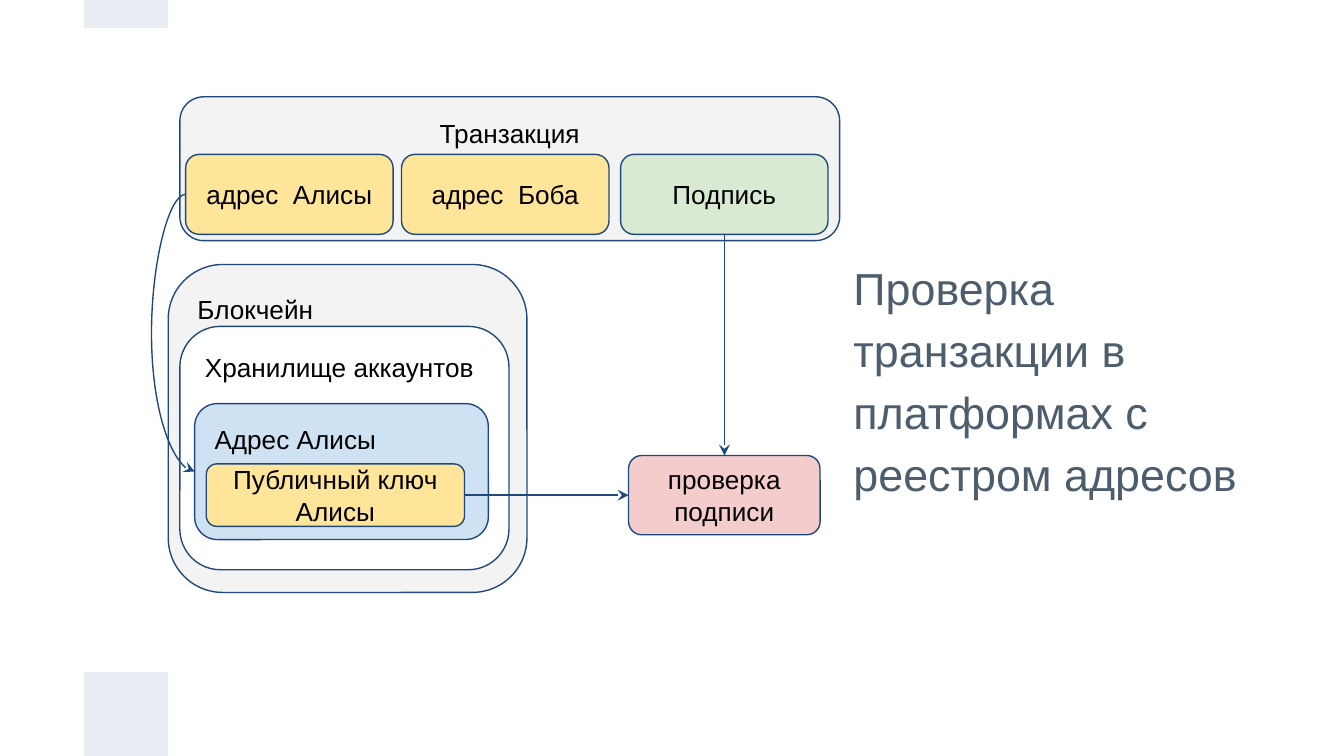
from lxml import etree
from pptx import Presentation
from pptx.dml.color import RGBColor
from pptx.enum import shapes, text
from pptx.oxml.ns import qn
from pptx.util import Cm, Pt

NAVY = RGBColor(0x1F, 0x49, 0x7D)
SLATE = RGBColor(0x4C, 0x5D, 0x6E)
BLACK = RGBColor(0, 0, 0)
WHITE = RGBColor(0xFF, 0xFF, 0xFF)
PALE = RGBColor(0xE9, 0xED, 0xF4)
GREY = RGBColor(0xF3, 0xF3, 0xF3)
YELLOW = RGBColor(0xFF, 0xE5, 0x99)
GREEN = RGBColor(0xD9, 0xEA, 0xD3)
BLUE = RGBColor(0xCF, 0xE2, 0xF3)
PINK = RGBColor(0xF4, 0xCC, 0xCC)

LEFT, CENTER = text.PP_ALIGN.LEFT, text.PP_ALIGN.CENTER
TOP, MIDDLE = text.MSO_ANCHOR.TOP, text.MSO_ANCHOR.MIDDLE
SITE_TOP, SITE_LEFT, SITE_BOTTOM, SITE_RIGHT = range(4)


def apply(target, values):
    for name, value in values.items():
        setattr(target, name, value)


def write(holder, words, size, color, align, anchor):
    frame = holder.text_frame
    inset = Cm(0.25)
    apply(frame, {
        "word_wrap": True, "auto_size": text.MSO_AUTO_SIZE.NONE,
        "vertical_anchor": anchor,
        "margin_left": inset, "margin_right": inset,
        "margin_top": inset, "margin_bottom": inset,
    })
    paragraph = frame.paragraphs[0]
    paragraph.alignment = align
    run = paragraph.add_run()
    run.text = words
    apply(run.font, {"name": "Arial", "size": Pt(size)})
    run.font.color.rgb = color
    return paragraph


def add_title(slide, words):
    title = slide.shapes.title
    apply(title, {"left": Cm(15.88), "top": Cm(1.57),
                  "width": Cm(7.92), "height": Cm(11.1)})
    write(title, words, 24, SLATE, LEFT, MIDDLE).line_spacing = 1.15


def add_filled(slide, preset, area, fill):
    shape = slide.shapes.add_shape(preset, *map(Cm, area))
    shape.shadow.inherit = False
    shape.fill.solid()
    shape.fill.fore_color.rgb = fill
    return shape


def add_accent(slide, area):
    accent = add_filled(slide, shapes.MSO_SHAPE.RECTANGLE, area, PALE)
    accent.line.fill.background()


def add_block(slide, words, area, fill, align=CENTER, anchor=MIDDLE):
    block = add_filled(slide, shapes.MSO_SHAPE.ROUNDED_RECTANGLE, area, fill)
    block.line.color.rgb = NAVY
    block.line.width = Pt(0.75)
    write(block, words, 14, BLACK, align, anchor)
    return block


def add_arrow(slide, start, start_site, end, end_site, bend=None):
    kinds = shapes.MSO_CONNECTOR
    kind = kinds.STRAIGHT if bend is None else kinds.CURVE
    arrow = slide.shapes.add_connector(kind, 0, 0, 0, 0)
    arrow.begin_connect(start, start_site)
    arrow.end_connect(end, end_site)
    arrow.line.color.rgb = NAVY
    arrow.line.width = Pt(0.75)
    properties = arrow.element.spPr
    etree.SubElement(properties.find(qn("a:ln")), qn("a:tailEnd"), type="stealth")
    etree.SubElement(properties, qn("a:effectLst"))
    if bend is not None:
        guides = properties.find(qn("a:prstGeom")).get_or_add_avLst()
        etree.SubElement(guides, qn("a:gd"), name="adj1", fmla=f"val {bend}")


def main():
    deck = Presentation()
    apply(deck, {"slide_width": Cm(25.4), "slide_height": Cm(14.29)})
    slide = deck.slides.add_slide(deck.slide_layouts[5])

    add_title(slide, "Проверка транзакции в платформах с реестром адресов")
    add_accent(slide, (1.59, 12.7, 1.59, 1.59))
    add_accent(slide, (1.59, 0, 1.59, 0.53))

    add_block(slide, "Блокчейн", (3.18, 5, 6.78, 6.2), GREY, LEFT, TOP)
    add_block(slide, "Транзакция", (3.4, 1.83, 12.47, 2.72), GREY, CENTER, TOP)
    fields = [("адрес  Алисы", 3.51, YELLOW), ("адрес  Боба", 7.59, YELLOW),
              ("Подпись", 11.73, GREEN)]
    sender, _, signature = [
        add_block(slide, words, (left, 2.92, 3.92, 1.51), fill)
        for words, left, fill in fields]

    add_block(slide, "Хранилище аккаунтов", (3.4, 6.17, 6.22, 4.6), WHITE, LEFT, TOP)
    account = add_block(slide, "Адрес Алисы", (3.68, 7.63, 5.55, 2.57), BLUE, LEFT, TOP)
    public_key = add_block(slide, "Публичный ключ Алисы", (3.9, 8.77, 4.88, 1.18), YELLOW)
    check = add_block(slide, "проверка подписи", (11.88, 8.61, 3.62, 1.5), PINK)

    add_arrow(slide, sender, SITE_LEFT, account, SITE_LEFT, bend=-380000)
    add_arrow(slide, public_key, SITE_RIGHT, check, SITE_LEFT)
    add_arrow(slide, signature, SITE_BOTTOM, check, SITE_TOP)
    deck.save("out.pptx")


if __name__ == "__main__":
    main()
